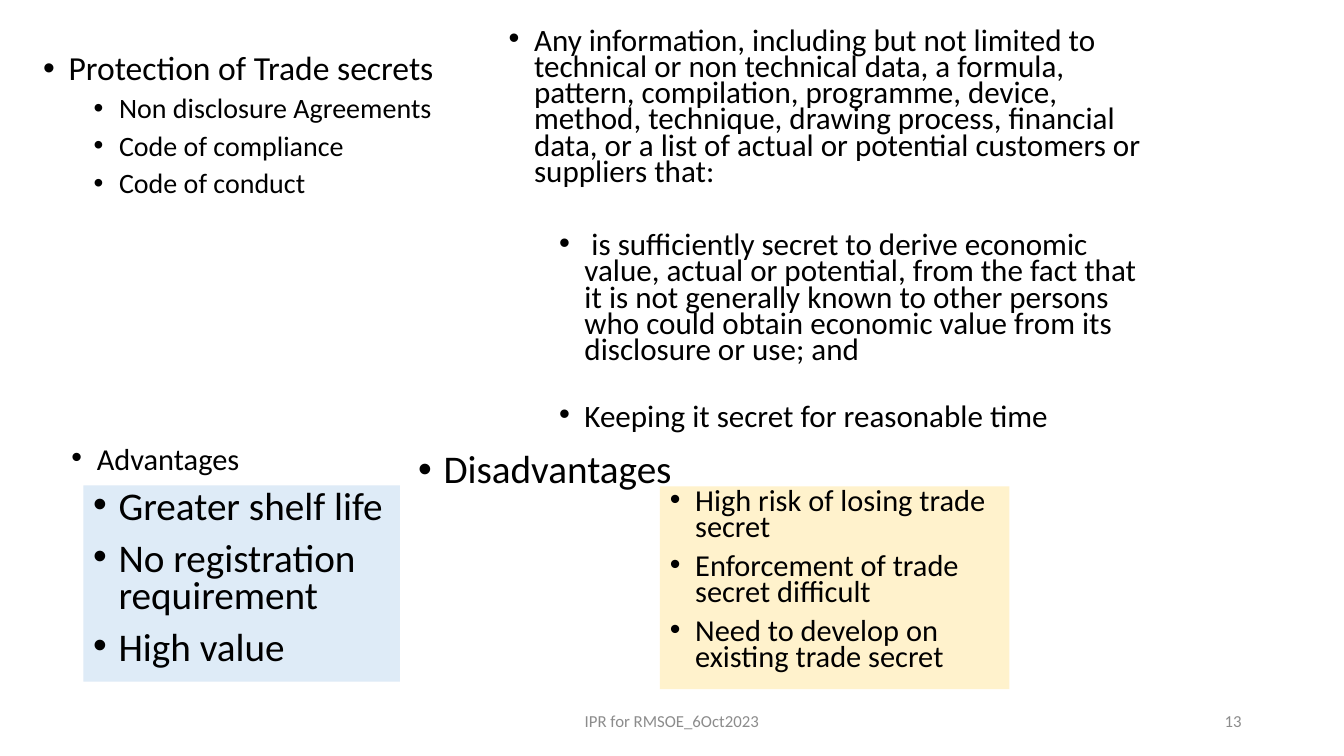
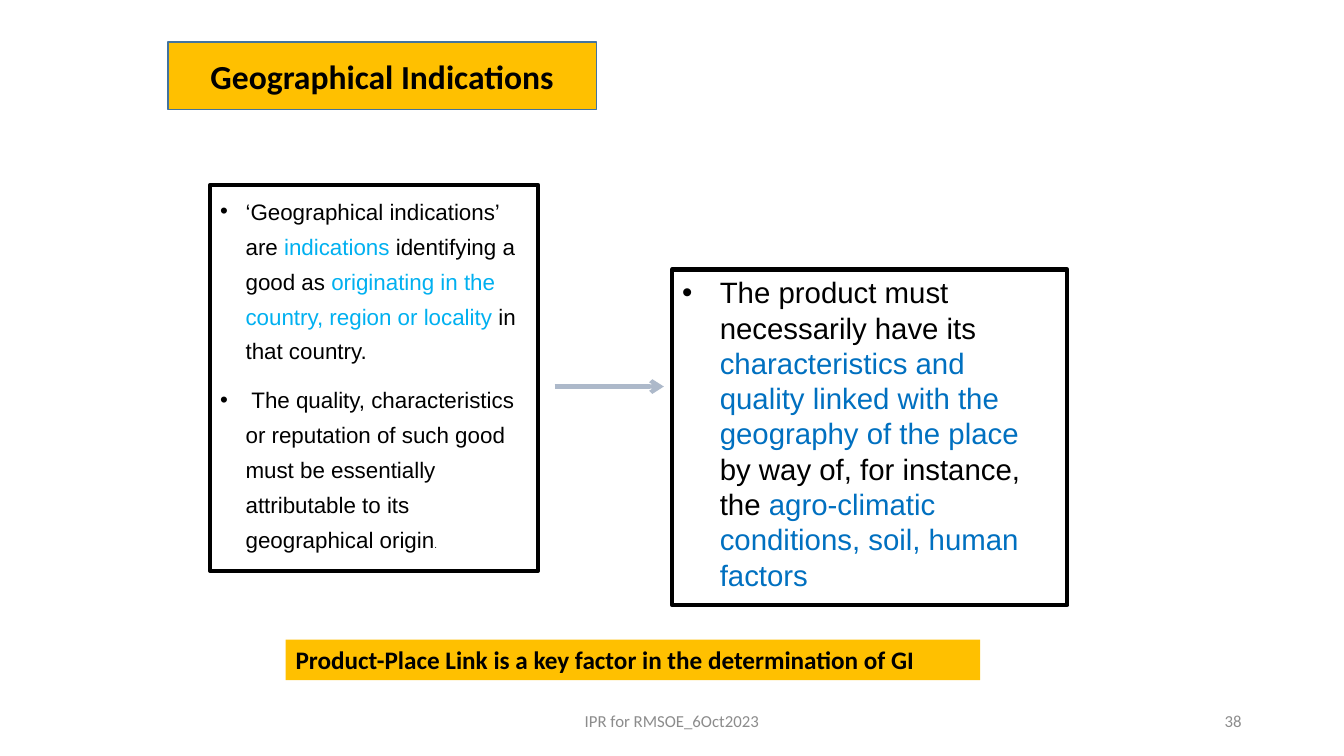
from collections import namedtuple

from lxml.etree import SubElement
from pptx import Presentation
from pptx.dml.color import RGBColor
from pptx.enum.shapes import MSO_CONNECTOR, MSO_SHAPE
from pptx.enum.text import MSO_ANCHOR, MSO_AUTO_SIZE, PP_ALIGN
from pptx.oxml.ns import qn
from pptx.util import Cm, Pt

BLACK = RGBColor(0x00, 0x00, 0x00)
GREY = RGBColor(0x8C, 0x8C, 0x8C)
GOLD = RGBColor(0xFF, 0xC0, 0x00)
PALE_BLUE = RGBColor(0xDE, 0xEB, 0xF7)
PALE_YELLOW = RGBColor(0xFF, 0xF2, 0xCC)
TITLE_BORDER = RGBColor(0x43, 0x73, 0x9E)
ARROW_GREY = RGBColor(0xAD, 0xB9, 0xCA)
SKY_BLUE = RGBColor(0x00, 0xB0, 0xF0)
STRONG_BLUE = RGBColor(0x00, 0x70, 0xC0)

BODY_FONT = "Calibri"
BOX_FONT = "Arial"
LEVEL_INDENT = 1.27
HANGING_INDENT = 0.64
HEADING_HEIGHT = 1
FOOTER_TEXT = "IPR for RMSOE_6Oct2023"
TITLE_ONLY_LAYOUT = 5
BLANK_LAYOUT = 6

Box = namedtuple("Box", "left top width height")
Run = namedtuple("Run", "text color size", defaults=(BLACK, None))
Item = namedtuple("Item", "runs level space", defaults=(0, 10))
Style = namedtuple("Style", "size spacing font hanging",
                   defaults=(1.0, BODY_FONT, HANGING_INDENT))

FOOTER = Box(11.22, 17.65, 20.32, 1.02)


def lengths(box):
    return [Cm(value) for value in box]


def within(box, left, top, width, height):
    return Box(box.left + left, box.top + top, width, height)


def plain_items(*texts, level=0, space=10):
    return [Item([Run(text)], level, space) for text in texts]


def add_run(paragraph, run, size, font=BODY_FONT, bold=False):
    text_run = paragraph.add_run()
    text_run.text = run.text
    text_run.font.name = font
    text_run.font.size = Pt(run.size or size)
    text_run.font.bold = bold
    text_run.font.color.rgb = run.color


def add_bullet(paragraph, level, hanging):
    properties = paragraph._p.get_or_add_pPr()
    properties.set("marL", str(Cm(level * LEVEL_INDENT + hanging)))
    properties.set("indent", str(-Cm(hanging)))
    SubElement(properties, qn("a:buFont")).set("typeface", "Arial")
    SubElement(properties, qn("a:buChar")).set("char", "•")


def prepare_frame(shape, anchor):
    frame = shape.text_frame
    frame.word_wrap = True
    frame.auto_size = MSO_AUTO_SIZE.NONE
    frame.vertical_anchor = anchor
    return frame


def write_bullets(shape, items, style):
    frame = prepare_frame(shape, MSO_ANCHOR.TOP)
    for index, item in enumerate(items):
        paragraph = frame.add_paragraph() if index else frame.paragraphs[0]
        add_bullet(paragraph, item.level, style.hanging)
        paragraph.level = item.level
        paragraph.alignment = PP_ALIGN.LEFT
        paragraph.line_spacing = style.spacing
        paragraph.space_before = Pt(item.space if index else 0)
        for run in item.runs:
            add_run(paragraph, run, style.size, style.font)


def write_line(shape, text, size, alignment, color=BLACK, bold=False,
               anchor=MSO_ANCHOR.MIDDLE):
    paragraph = prepare_frame(shape, anchor).paragraphs[0]
    paragraph.alignment = alignment
    add_run(paragraph, Run(text, color), size, bold=bold)


def paint(shape, fill=None, line=None, line_width=1):
    if fill is None:
        shape.fill.background()
    else:
        shape.fill.solid()
        shape.fill.fore_color.rgb = fill
    if line is None:
        shape.line.fill.background()
    else:
        shape.line.color.rgb = line
        shape.line.width = Pt(line_width)


def add_text_box(slide, box):
    return slide.shapes.add_textbox(*lengths(box))


def add_rectangle(slide, box, fill=None, line=None, line_width=1):
    shape = slide.shapes.add_shape(MSO_SHAPE.RECTANGLE, *lengths(box))
    shape.shadow.inherit = False
    paint(shape, fill, line, line_width)
    return shape


def add_arrow(slide, left, right, middle):
    arrow = slide.shapes.add_connector(
        MSO_CONNECTOR.STRAIGHT, Cm(left), Cm(middle), Cm(right), Cm(middle))
    arrow.line.color.rgb = ARROW_GREY
    arrow.line.width = Pt(3)
    properties = arrow.element.spPr
    SubElement(properties.find(qn("a:ln")), qn("a:tailEnd")).set("type", "arrow")
    SubElement(properties, qn("a:effectLst"))


def add_title(slide, box, text):
    title = slide.shapes.title
    title.left, title.top, title.width, title.height = lengths(box)
    paint(title, GOLD, TITLE_BORDER)
    write_line(title, text, 24, PP_ALIGN.CENTER, bold=True)


def add_footer(slide, box, number):
    text_box = within(box, 0, 0, 11.43, box.height)
    number_box = within(box, 12.7, 0, 7.62, box.height)
    for part, text, alignment in (
            (text_box, FOOTER_TEXT, PP_ALIGN.CENTER),
            (number_box, number, PP_ALIGN.RIGHT)):
        write_line(add_text_box(slide, part), text, 12, alignment, GREY)


def add_protection(slide, box):
    items = [Item([Run("Protection of Trade secrets", size=24)])]
    items += plain_items("Non disclosure Agreements", "Code of compliance",
                         "Code of conduct", level=1, space=5)
    write_bullets(add_text_box(slide, box), items, Style(20, 0.9))


def add_secret_definition(slide, box):
    items = plain_items(
        "Any information, including but not limited to technical or non technical data, "
        "a formula, pattern, compilation, programme, device, method, technique, drawing "
        "process, financial data, or a list of actual or potential customers or "
        "suppliers that:")
    items += plain_items(
        " is sufficiently secret to derive economic value, actual or potential, from the "
        "fact that it is not generally known to other persons who could obtain economic "
        "value from its disclosure or use; and", level=1, space=34)
    items += plain_items("Keeping it secret for reasonable time", level=1, space=29)
    write_bullets(add_text_box(slide, box), items, Style(22.2, 0.7))


def add_heading(slide, box, text, style):
    heading_box = within(box, 0, 0, box.width, HEADING_HEIGHT)
    write_bullets(add_text_box(slide, heading_box), plain_items(text), style)


def add_card(slide, box, fill, points, style):
    write_bullets(add_rectangle(slide, box, fill), plain_items(*points), style)


def add_advantages(slide, box):
    add_heading(slide, box, "Advantages", Style(21.7, 0.7))
    points = ("Greater shelf life", "No registration requirement", "High value")
    add_card(slide, within(box, 0.55, 1.02, 7.98, 4.95), PALE_BLUE, points, Style(28, 0.8))


def add_disadvantages(slide, box):
    add_heading(slide, box, "Disadvantages", Style(28, 0.9))
    points = ("High risk of losing trade secret",
              "Enforcement of trade secret difficult",
              "Need to develop on existing trade secret")
    add_card(slide, within(box, 6.34, 1.05, 8.81, 5.11), PALE_YELLOW, points, Style(21.7, 0.7))


def add_definition_flow(slide, box):
    definition = [
        Item([
            Run("‘Geographical indications’ are "),
            Run("indications", SKY_BLUE),
            Run(" identifying a good as "),
            Run("originating in the country, region or locality", SKY_BLUE),
            Run(" in that country."),
        ]),
        Item([
            Run(" The quality, characteristics or reputation of such good must be "
                "essentially attributable to its geographical origin"),
            Run(".", size=7),
        ]),
    ]
    product_link = [Item([
        Run("The product must necessarily have its "),
        Run("characteristics and quality linked with the geography of the place ",
            STRONG_BLUE),
        Run("by way of, for instance, the "),
        Run("agro-climatic conditions, soil, human factors", STRONG_BLUE),
    ])]
    definition_box = within(box, 0, 0, 8.26, 9.73)
    link_box = within(box, 11.64, 2.13, 9.96, 8.46)
    for part, items, style in (
            (definition_box, definition, Style(16, 1.3, BOX_FONT)),
            (link_box, product_link, Style(21, 1.0, BOX_FONT, 0.95))):
        shape = add_rectangle(slide, part, line=BLACK, line_width=3)
        write_bullets(shape, items, style)
    arrow_left = definition_box.left + definition_box.width + 0.42
    add_arrow(slide, arrow_left, link_box.left - 0.21, box.top + 5.08)


def add_key_factor(slide, box):
    write_line(add_rectangle(slide, box, GOLD),
               "Product-Place Link is a key factor in the determination of GI",
               18, PP_ALIGN.LEFT, bold=True, anchor=MSO_ANCHOR.TOP)


def build_trade_secrets(presentation):
    slide = presentation.slides.add_slide(presentation.slide_layouts[BLANK_LAYOUT])
    add_protection(slide, Box(0.84, 1.17, 12.09, 4.45))
    add_secret_definition(slide, Box(12.57, 0.65, 16.56, 11.3))
    add_advantages(slide, Box(1.55, 11.21, 6.1, 5.97))
    add_disadvantages(slide, Box(10.29, 11.21, 7.37, 6.16))
    add_footer(slide, FOOTER, "13")


def build_geographical_indications(presentation):
    slide = presentation.slides.add_slide(presentation.slide_layouts[TITLE_ONLY_LAYOUT])
    add_title(slide, Box(4.23, 1.06, 10.8, 1.7), "Geographical Indications")
    add_definition_flow(slide, Box(5.3, 4.66, 21.6, 10.59))
    add_key_factor(slide, Box(7.2, 16.12, 17.5, 1.02))
    add_footer(slide, FOOTER, "38")


def main():
    presentation = Presentation()
    presentation.slide_width = Cm(33.87)
    presentation.slide_height = Cm(19.05)
    build_trade_secrets(presentation)
    build_geographical_indications(presentation)
    presentation.save("out.pptx")


if __name__ == "__main__":
    main()
